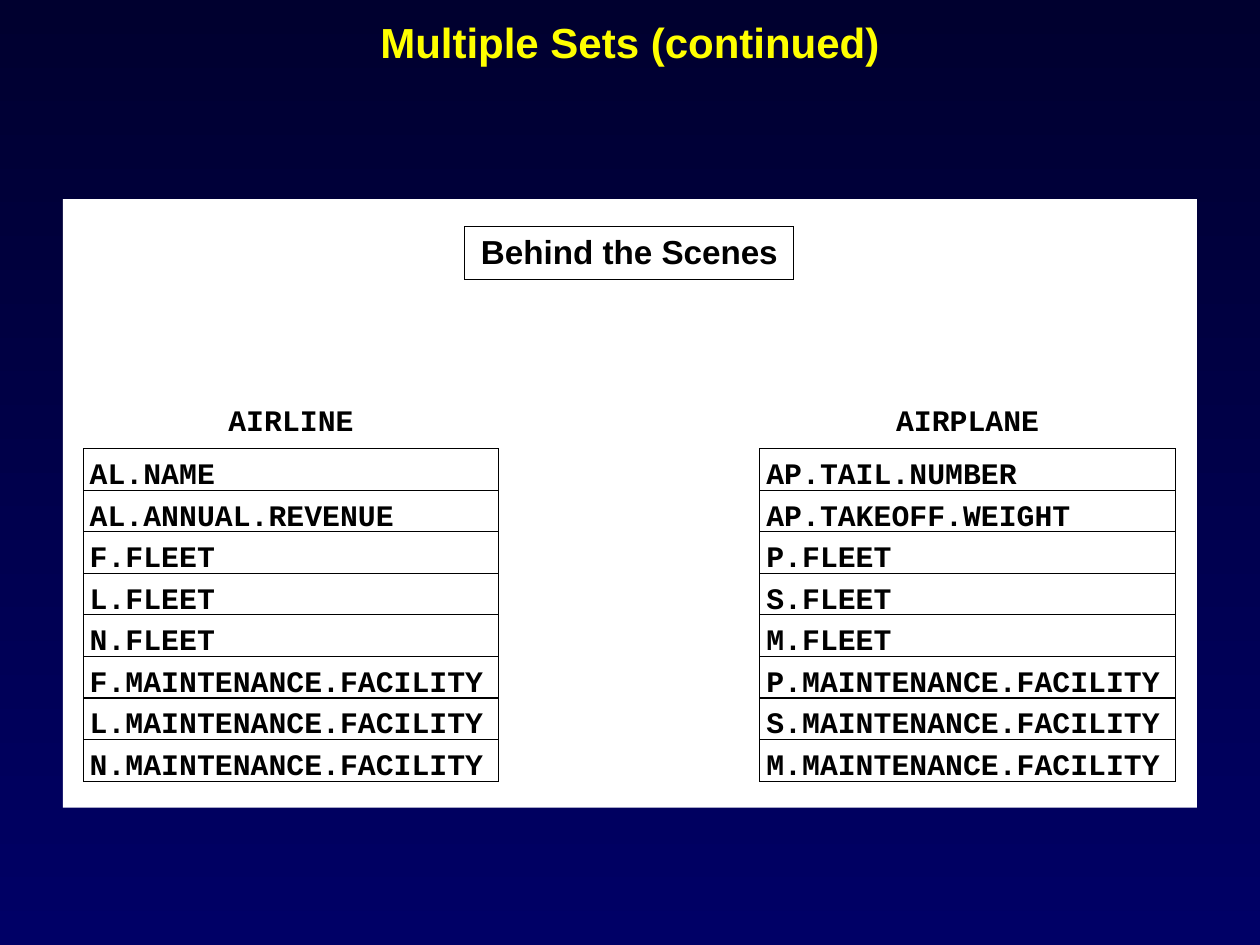
from pptx import Presentation
from pptx.dml.color import RGBColor
from pptx.enum.shapes import MSO_SHAPE as Shape
from pptx.enum.text import MSO_ANCHOR as Anchor, PP_ALIGN as Align
from pptx.util import Pt

SANS = "Arial"
MONO = "Courier New"
BLACK = "000000"
WHITE = "FFFFFF"
YELLOW = "FFFF00"

HAIRLINE = 0.01
COLUMN_WIDTH = 237.6
ROW_TOP = 256.32
ROW_HEIGHT = 23.76
HEADING_TOP = 229.68

AIRLINE_FIELDS = [
    "AL.NAME", "AL.ANNUAL.REVENUE", "F.FLEET", "L.FLEET", "N.FLEET",
    "F.MAINTENANCE.FACILITY", "L.MAINTENANCE.FACILITY", "N.MAINTENANCE.FACILITY",
]
AIRPLANE_FIELDS = [
    "AP.TAIL.NUMBER", "AP.TAKEOFF.WEIGHT", "P.FLEET", "S.FLEET", "M.FLEET",
    "P.MAINTENANCE.FACILITY", "S.MAINTENANCE.FACILITY", "M.MAINTENANCE.FACILITY",
]


def color(value):
    return RGBColor.from_string(value)


def paint_background(page, top_color, bottom_color):
    fill = page.background.fill
    fill.gradient()
    fill.gradient_angle = 270
    for stop, position, value in zip(fill.gradient_stops, (0, 1), (top_color, bottom_color)):
        stop.position = position
        stop.color.rgb = color(value)


def write(box, text, font, size, value=BLACK, align=Align.CENTER, anchor=Anchor.TOP,
          left=0, top=0):
    frame = box.text_frame
    frame.word_wrap = True
    frame.vertical_anchor = anchor
    frame.margin_left = Pt(left)
    frame.margin_top = Pt(top)
    frame.margin_right = frame.margin_bottom = 0
    para = frame.paragraphs[0]
    para.alignment = align
    span = para.add_run()
    span.text = text
    span.font.name = font
    span.font.size = Pt(size)
    span.font.bold = True
    span.font.color.rgb = color(value)


def add_text_box(page, left, top, width, height):
    return page.shapes.add_textbox(Pt(left), Pt(top), Pt(width), Pt(height))


def add_rectangle(page, left, top, width, height, outlined=True):
    box = page.shapes.add_shape(Shape.RECTANGLE, Pt(left), Pt(top), Pt(width), Pt(height))
    box.shadow.inherit = False
    box.fill.solid()
    box.fill.fore_color.rgb = color(WHITE)
    if outlined:
        box.line.color.rgb = color(BLACK)
        box.line.width = Pt(HAIRLINE)
    else:
        box.line.fill.background()
    return box


def add_record(page, left, name, fields):
    heading = add_text_box(page, left, HEADING_TOP, COLUMN_WIDTH, 20.16)
    write(heading, name, MONO, 17)
    for index, field in enumerate(fields):
        row = add_rectangle(page, left, ROW_TOP + index * ROW_HEIGHT, COLUMN_WIDTH, ROW_HEIGHT)
        write(row, field, MONO, 17, align=Align.LEFT, left=3.8, top=3.6)


def main():
    deck = Presentation()
    deck.slide_width = Pt(720)
    deck.slide_height = Pt(540)
    page = deck.slides.add_slide(deck.slide_layouts[6])
    paint_background(page, "00002F", "000066")

    title = add_text_box(page, 54, 5.76, 612, 36)
    write(title, "Multiple Sets (continued)", SANS, 24, YELLOW, anchor=Anchor.MIDDLE)

    add_rectangle(page, 36, 113.76, 648, 347.76, outlined=False)
    caption = add_rectangle(page, 265.68, 129.6, 187.92, 30.24)
    write(caption, "Behind the Scenes", SANS, 19, top=2.4)

    add_record(page, 47.52, "AIRLINE", AIRLINE_FIELDS)
    add_record(page, 434.16, "AIRPLANE", AIRPLANE_FIELDS)
    deck.save("out.pptx")


if __name__ == "__main__":
    main()
